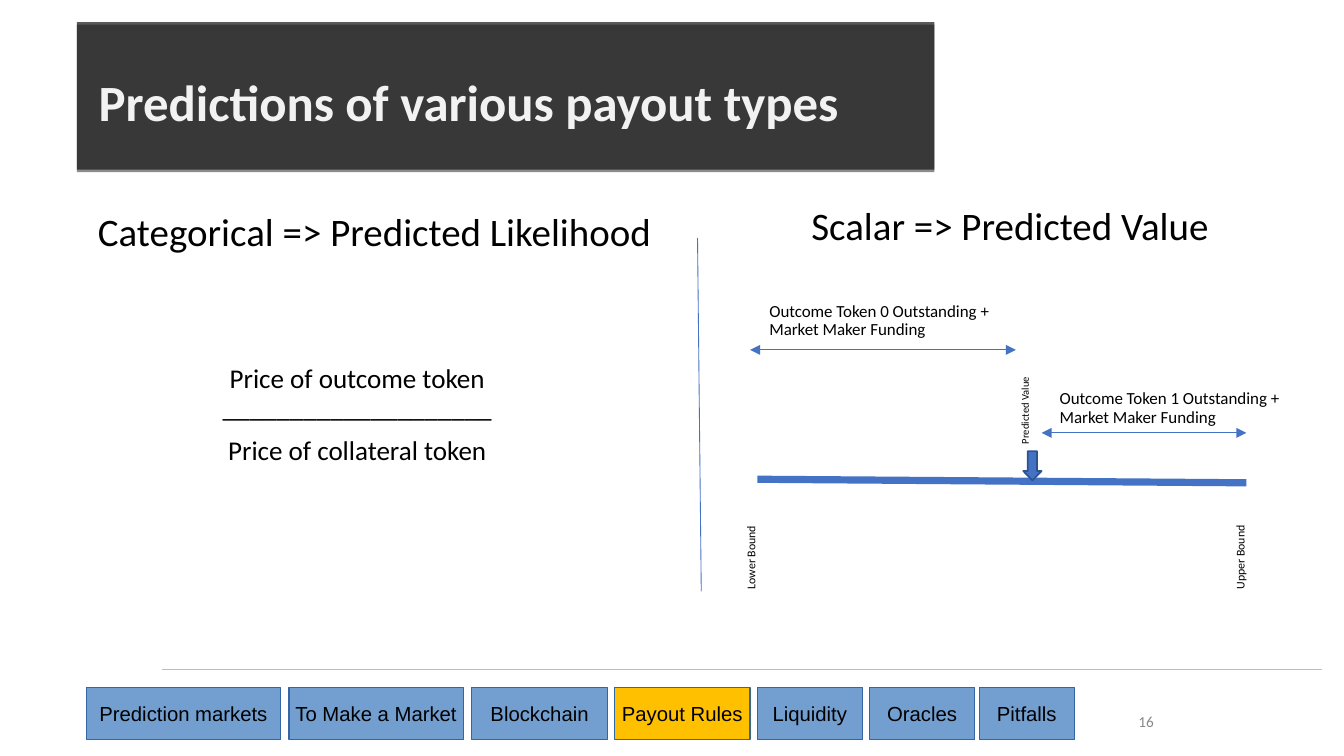
from lxml.etree import SubElement as Sub
from pptx import Presentation
from pptx.dml.color import RGBColor as RGB
from pptx.enum.shapes import MSO_CONNECTOR as Link, MSO_SHAPE as Form
from pptx.enum.text import MSO_ANCHOR as Anchor, PP_ALIGN as Align
from pptx.oxml.ns import qn
from pptx.util import Pt

BLACK = RGB(0x00, 0x00, 0x00)
DARK = RGB(0x18, 0x17, 0x17)
PALE = RGB(0xF2, 0xF2, 0xF2)
GRAY = RGB(0x89, 0x89, 0x89)
BLUE = RGB(0x44, 0x72, 0xC4)
NAVY = RGB(0x2F, 0x52, 0x8F)
SKY = RGB(0x72, 0x9F, 0xCF)
STEEL = RGB(0x34, 0x65, 0xA4)
GOLD = RGB(0xFF, 0xC0, 0x00)

STEPS = [
    ("Prediction markets", 51.1, 114.5),
    ("To Make a Market", 170.6, 103),
    ("Blockchain", 278.6, 80),
    ("Payout Rules", 362.9, 80),
    ("Liquidity", 447.1, 62),
    ("Oracles", 513.4, 62),
    ("Pitfalls", 578.2, 56),
]
ACTIVE = "Payout Rules"


def write(frame, texts, size, color=BLACK, face="Calibri", align=Align.LEFT,
          space=1.0, bold=False):
    """Fill a text frame with evenly styled paragraphs."""
    for i, text in enumerate(texts):
        para = frame.paragraphs[0] if i == 0 else frame.add_paragraph()
        para.text = text
        para.alignment = align
        para.line_spacing = space
        para.space_before = Pt(8.2 if i else 0)
        font = para.font
        font.size, font.name, font.bold = Pt(size), face, bold
        font.color.rgb = color


def label(slide, box, texts, size, turn=0, anchor=Anchor.TOP, **style):
    """Add a wrapped text box, turned if asked."""
    shape = slide.shapes.add_textbox(*map(Pt, box))
    shape.rotation = turn
    shape.text_frame.word_wrap = True
    shape.text_frame.vertical_anchor = anchor
    write(shape.text_frame, texts, size, **style)


def block(slide, form, box, fill, edge=None, width=0):
    """Add a filled shape with an optional outline."""
    shape = slide.shapes.add_shape(form, *map(Pt, box))
    shape.shadow.inherit = False
    shape.fill.solid()
    shape.fill.fore_color.rgb = fill
    if edge is None:
        shape.line.fill.background()
    else:
        shape.line.color.rgb = edge
        shape.line.width = Pt(width)
    return shape


def banner(slide, box):
    """Add the translucent title band with its shadow."""
    props = block(slide, Form.RECTANGLE, box, DARK)._element.spPr
    tint = props.find(qn("a:solidFill")).find(qn("a:srgbClr"))
    Sub(tint, qn("a:alpha"), val="71000")
    shade = Sub(props.find(qn("a:effectLst")), qn("a:outerShdw"),
                blurRad="0", dist=str(Pt(1.5)), dir="5400000",
                algn="ctr", rotWithShape="0")
    Sub(Sub(shade, qn("a:srgbClr"), val=str(BLACK)), qn("a:alpha"), val="63000")


def rule(slide, ends, color=BLUE, width=0.5, arrows=False):
    """Add a straight line, with arrowheads at both ends if asked."""
    line = slide.shapes.add_connector(Link.STRAIGHT, *map(Pt, ends))
    line.line.color.rgb = color
    line.line.width = Pt(width)
    if arrows:
        for end in ("a:headEnd", "a:tailEnd"):
            Sub(line.line._get_or_add_ln(), qn(end), type="triangle")
    Sub(line._element.spPr, qn("a:effectLst"))


def step(slide, name, left, width):
    """Add one box of the navigation bar."""
    fill = GOLD if name == ACTIVE else SKY
    shape = block(slide, Form.RECTANGLE, (left, 406, width, 30.7), fill, STEEL)
    shape.text_frame.word_wrap = False
    shape.text_frame.vertical_anchor = Anchor.MIDDLE
    write(shape.text_frame, [name], 12, face="Arial", align=Align.CENTER)


def scale(slide):
    """Draw the scalar range with its bounds, tokens and marker."""
    rule(slide, (735.8, 285.1, 447.1, 283), width=4.25)
    for name, left in (("Lower Bound", 411.8), ("Upper Bound", 700.6)):
        label(slide, (left, 310.3, 70.6, 18.7), [name], 7, turn=270, space=0.7)
    mark = block(slide, Form.DOWN_ARROW, (604.1, 266.4, 10.8, 17.3),
                 BLUE, NAVY, 1)
    mark.adjustments[1] = 0.51
    label(slide, (566.6, 217.4, 85, 18.7), ["Predicted Value"], 6.2,
          turn=270, space=0.7)
    spans = [(447.1, 175, 442.8, 599.8, 206.6),
             (618.5, 226.8, 614.9, 735.8, 255.6)]
    for i, (left, top, start, end, y) in enumerate(spans):
        text = f"Outcome Token {i} Outstanding +\vMarket Maker Funding"
        label(slide, (left, top, 149.8, 30.2), [text], 10, space=0.9)
        rule(slide, (start, y, end, y), arrows=True)


def main():
    """Build the slide and save it."""
    deck = Presentation()
    deck.slide_width, deck.slide_height = Pt(793.44), Pt(446.4)
    slide = deck.slides.add_slide(deck.slide_layouts[6])
    rule(slide, (95.8, 395.3, 780.5, 395.3), GOLD)
    label(slide, (560.9, 414, 127.4, 23.8), ["16"], 9, color=GRAY,
          align=Align.RIGHT, anchor=Anchor.MIDDLE)
    for name, left, width in STEPS:
        step(slide, name, left, width)
    banner(slide, (45.4, 13, 506.2, 87.1))
    label(slide, (51.1, 48, 491, 51), ["Predictions of various payout types"],
          30, color=PALE, space=0.7, bold=True)
    for text, box in (
            ("Categorical => Predicted Likelihood", (43.9, 124.6, 355, 31)),
            ("Scalar => Predicted Value", (411.8, 121, 369.4, 31))):
        label(slide, box, [text], 23, align=Align.CENTER, space=0.8)
    label(slide, (58.3, 212, 305.3, 172),
          ["Price of outcome token\v____________________",
           "Price of collateral token"],
          16, align=Align.CENTER, space=0.9)
    rule(slide, (411.8, 140.4, 414, 349.2))
    scale(slide)
    deck.save("out.pptx")


if __name__ == "__main__":
    main()
